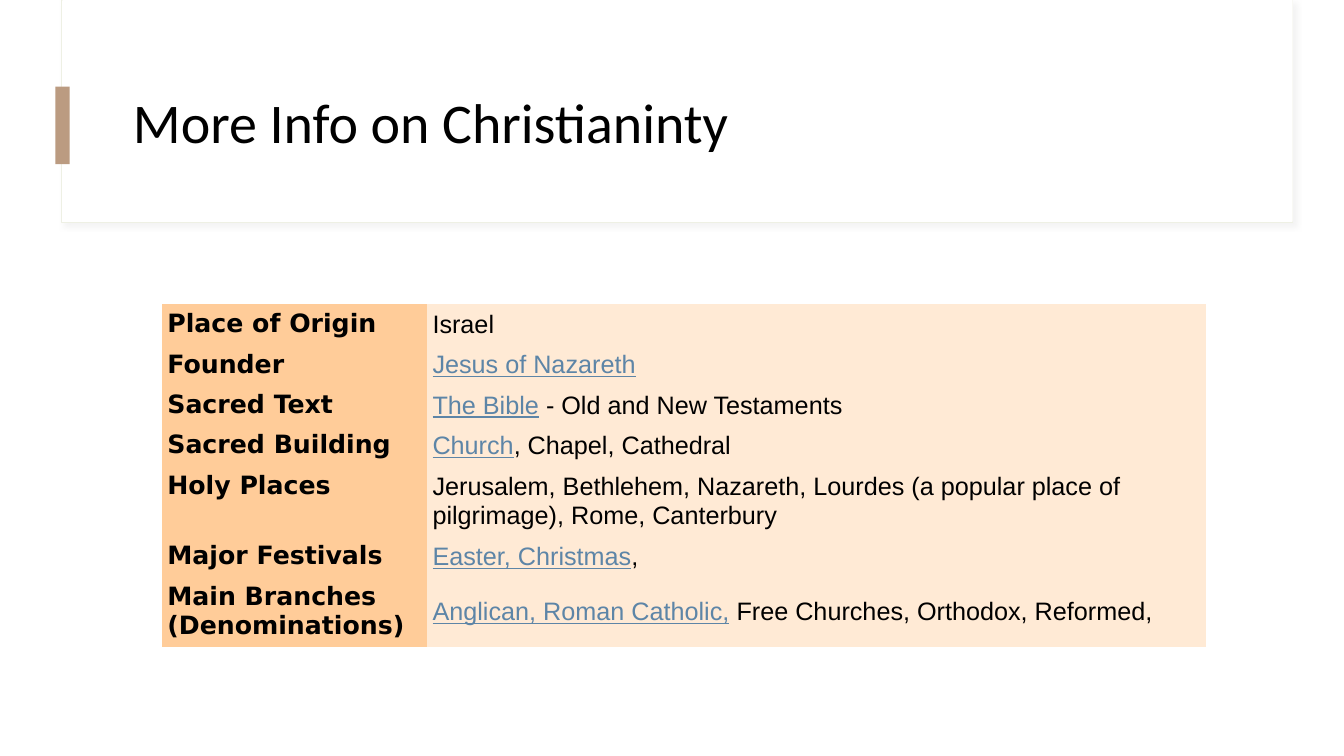
"""Build a slide of key facts about Christianity with a framed title and a two-column table."""
from dataclasses import dataclass

from pptx import Presentation
from pptx.dml.color import RGBColor
from pptx.enum.shapes import MSO_SHAPE
from pptx.enum.text import MSO_ANCHOR
from pptx.oxml import parse_xml
from pptx.oxml.ns import nsdecls, qn
from pptx.shapes.autoshape import Shape
from pptx.slide import Slide
from pptx.table import _Cell as Cell
from pptx.text.text import _Paragraph as Paragraph
from pptx.util import Inches, Pt

WHITE = RGBColor(0xFF, 0xFF, 0xFF)
BLACK = RGBColor(0x00, 0x00, 0x00)
FRAME_LINE = RGBColor(0xEE, 0xF0, 0xE4)
ACCENT = RGBColor(0xBB, 0x9B, 0x81)
LINK = RGBColor(0x5D, 0x85, 0xA7)
LABEL_FILL = RGBColor(0xFF, 0xCC, 0x99)
DETAIL_FILL = RGBColor(0xFF, 0xEA, 0xD5)

COLUMN_WIDTHS = (2.63, 7.72)
LINE_HEIGHT = 0.28
ROW_PADDING = 0.11
CELL_MARGIN = Inches(0.05)
NO_GRID_STYLE = "{2D5ABB26-0587-4C30-8999-92F81FD0307C}"
SOFT_SHADOW = (
    f'<a:effectLst {nsdecls("a")}>'
    '<a:outerShdw blurRad="50800" dist="38100" dir="2700000" algn="tl" rotWithShape="0">'
    '<a:srgbClr val="D9D9D9"><a:alpha val="30000"/></a:srgbClr>'
    "</a:outerShdw></a:effectLst>"
)


@dataclass(frozen=True)
class Panel:
    left: float
    top: float
    width: float
    height: float
    fill: RGBColor
    framed: bool = False


@dataclass(frozen=True)
class Fact:
    label: str
    linked: str = ""
    plain: str = ""
    lines: int = 1


PANELS = (
    Panel(0.61, 0, 12.21, 2.21, WHITE, framed=True),
    Panel(0.62, 0, 12.2, 2.2, WHITE),
    Panel(0.55, 0.86, 0.14, 0.77, ACCENT),
)

FACTS = (
    Fact("Place of Origin", plain="Israel"),
    Fact("Founder", linked="Jesus of Nazareth"),
    Fact("Sacred Text", "The Bible", " - Old and New Testaments"),
    Fact("Sacred Building", "Church", ", Chapel, Cathedral"),
    Fact(
        "Holy Places",
        plain="Jerusalem, Bethlehem, Nazareth, Lourdes (a popular place of "
        "pilgrimage), Rome, Canterbury",
        lines=2,
    ),
    Fact("Major Festivals", "Easter, Christmas", ","),
    Fact(
        "Main Branches\n(Denominations)",
        "Anglican, Roman Catholic,",
        " Free Churches, Orthodox, Reformed,",
        lines=2,
    ),
)


def add_run(paragraph: Paragraph, text: str, font_name: str, size: float = 18,
            color: RGBColor = BLACK, bold: bool = False, underline: bool = False) -> None:
    run = paragraph.add_run()
    run.text = text
    run.font.name = font_name
    run.font.size = Pt(size)
    run.font.color.rgb = color
    run.font.bold = bold
    run.font.underline = underline


def add_panel(slide: Slide, panel: Panel) -> Shape:
    area = slide.shapes.add_shape(
        MSO_SHAPE.RECTANGLE, Inches(panel.left), Inches(panel.top),
        Inches(panel.width), Inches(panel.height))
    area.fill.solid()
    area.fill.fore_color.rgb = panel.fill
    if panel.framed:
        area.line.color.rgb = FRAME_LINE
        area.line.width = Pt(0.75)
        area.element.spPr.append(parse_xml(SOFT_SHADOW))
    else:
        area.line.fill.background()
        area.shadow.inherit = False
    return area


def add_heading(slide: Slide, text: str) -> None:
    heading = slide.shapes.add_textbox(
        Inches(1.22), Inches(0.6), Inches(11.12), Inches(1.29)).text_frame
    heading.word_wrap = True
    heading.vertical_anchor = MSO_ANCHOR.MIDDLE
    heading.paragraphs[0].line_spacing = 0.9
    add_run(heading.paragraphs[0], text, "Calibri", 40)


def prepare_cell(cell: Cell, fill: RGBColor, anchor: MSO_ANCHOR) -> Paragraph:
    cell.fill.solid()
    cell.fill.fore_color.rgb = fill
    cell.margin_left = cell.margin_right = CELL_MARGIN
    cell.margin_top = cell.margin_bottom = CELL_MARGIN
    cell.vertical_anchor = anchor
    return cell.text_frame.paragraphs[0]


def add_facts(slide: Slide, facts: tuple[Fact, ...]) -> None:
    heights = [fact.lines * LINE_HEIGHT + ROW_PADDING for fact in facts]
    frame = slide.shapes.add_table(
        len(facts), len(COLUMN_WIDTHS), Inches(1.61), Inches(3.02),
        Inches(sum(COLUMN_WIDTHS)), Inches(sum(heights)))
    frame.element.find(f".//{qn('a:tableStyleId')}").text = NO_GRID_STYLE
    table = frame.table
    table.first_row = table.horz_banding = False
    for column, width in zip(table.columns, COLUMN_WIDTHS):
        column.width = Inches(width)
    for row, height, fact in zip(table.rows, heights, facts):
        row.height = Inches(height)
        label_cell, detail_cell = row.cells
        label = prepare_cell(label_cell, LABEL_FILL, MSO_ANCHOR.TOP)
        for index, line in enumerate(fact.label.split("\n")):
            if index:
                label.add_line_break()
            add_run(label, line, "DejaVu Sans", bold=True)
        detail = prepare_cell(detail_cell, DETAIL_FILL, MSO_ANCHOR.MIDDLE)
        if fact.linked:
            add_run(detail, fact.linked, "Arial", color=LINK, underline=True)
        if fact.plain:
            add_run(detail, fact.plain, "Arial")


def main() -> None:
    deck = Presentation()
    deck.slide_width, deck.slide_height = Inches(13.33), Inches(7.5)
    slide = deck.slides.add_slide(deck.slide_layouts[6])
    for panel in PANELS:
        add_panel(slide, panel)
    add_heading(slide, "More Info on Christianinty")
    add_facts(slide, FACTS)
    deck.save("out.pptx")


if __name__ == "__main__":
    main()
